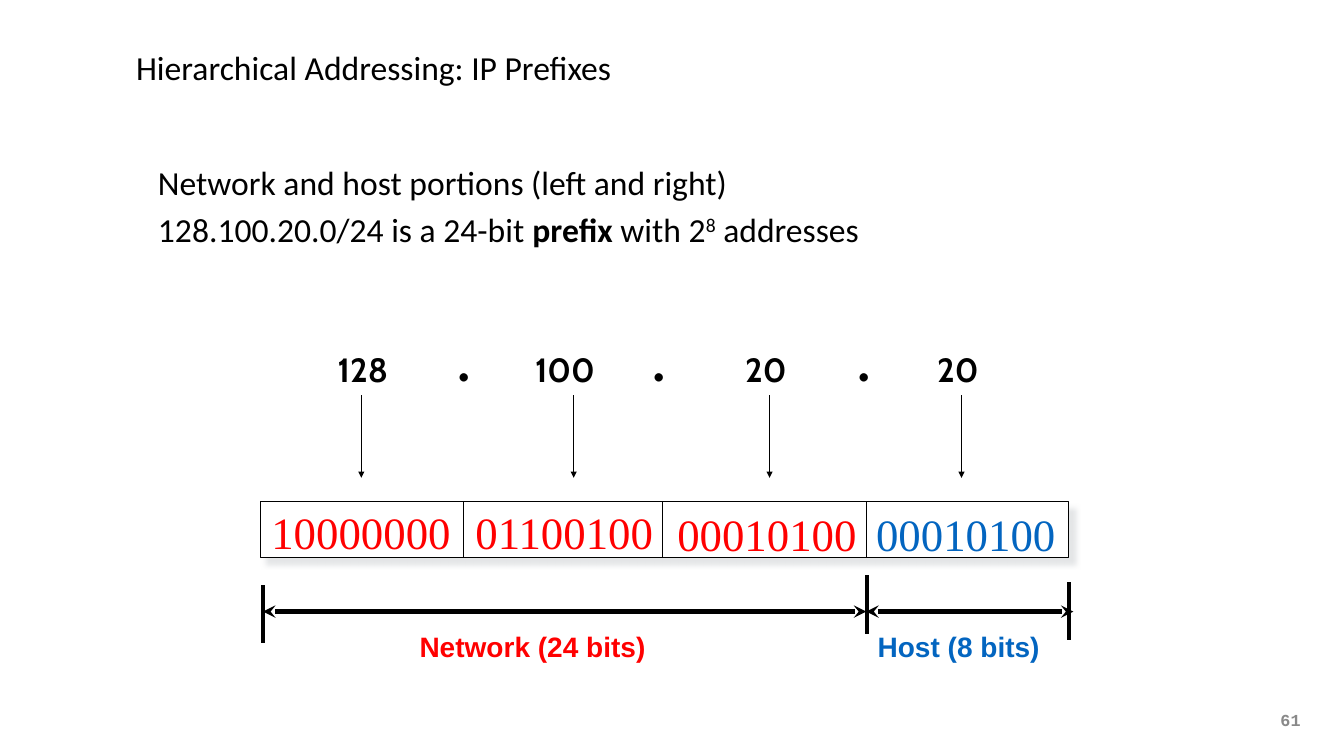
from pptx import Presentation
from pptx.dml.color import RGBColor
from pptx.enum.shapes import MSO_CONNECTOR, MSO_SHAPE
from pptx.enum.text import MSO_ANCHOR, MSO_AUTO_SIZE, PP_ALIGN
from pptx.oxml import parse_xml
from pptx.oxml.ns import qn
from pptx.util import Inches, Pt
from lxml.etree import SubElement

# Content
TITLE = "Hierarchical Addressing: IP Prefixes"
BODY = [
    [("Network and host portions (left and right)", "body")],
    [("128.100.20.0/24 is a 24-bit ", "body"), ("prefix", "bold"),
     (" with 2", "body"), ("8", "super"), (" addresses", "body")],
]
# decimal, left, width, arrow x; bits, left, top, style
OCTETS = [
    ("128", 4.37, 1.06, 4.78, "10000000", 3.46, 6.61, "net bits"),
    ("100", 6.98, 1.06, 7.59, "01100100", 6.16, 6.61, "net bits"),
    ("20", 9.76, 0.77, 10.18, "00010100", 8.83, 6.63, "net bits"),
    ("20", 12.3, 0.77, 12.72, "00010100", 11.46, 6.63, "host bits"),
]
DOTS = [5.97, 8.54, 11.26]
CUTS = [6.13, 8.76, 11.46]
TICKS = [(3.48, 7.74), (11.47, 7.61), (14.14, 7.7)]
# label, left, width, style, span start, span end
SPANS = [
    ("Network (24 bits)", 5.42, 3.4, "net", 11.46, 3.48),
    ("Host (8 bits)", 11.48, 2.54, "host", 11.46, 14.2),
]
PAGE = "61"

# Theme: font, size, colour, bold
BLACK, WHITE, RED, BLUE, GREY = "000000", "FFFFFF", "FF0000", "0365C0", "898989"
THEME = {
    "body": ("Calibri", 32, BLACK, False),
    "bold": ("Calibri", 32, BLACK, True),
    "super": ("Calibri", 32, BLACK, False),
    "octet": ("Cabin", 32, BLACK, True),
    "dot": ("Calibri", 66, BLACK, False),
    "net bits": ("Times New Roman", 42.7, RED, False),
    "host bits": ("Times New Roman", 42.7, BLUE, False),
    "net": ("Arial", 26.7, RED, True),
    "host": ("Arial", 26.7, BLUE, True),
    "gap": ("Times New Roman", 32, BLACK, False),
    "page": ("Courier New", 16, GREY, True),
}
SHADOW = (
    '<a:effectLst xmlns:a="http://schemas.openxmlformats.org/drawingml/2006/main">'
    '<a:outerShdw blurRad="63500" dist="107950" dir="2700000" algn="ctr" rotWithShape="0">'
    '<a:srgbClr val="DCDEE0"><a:alpha val="75000"/></a:srgbClr>'
    '</a:outerShdw></a:effectLst>'
)

deck = Presentation()
deck.slide_width, deck.slide_height = Inches(17.78), Inches(10)
slide = deck.slides.add_slide(deck.slide_layouts[5])
shapes = slide.shapes


def write(para, runs):
    for text, style in runs:
        run = para.add_run()
        run.text = text
        font = run.font
        font.name, size, color, font.bold = THEME[style]
        font.size = Pt(size)
        font.color.rgb = RGBColor.from_string(color)
        if style == "super":
            run._r.get_or_add_rPr().set("baseline", "30000")


def frame(shape, pad, anchor=MSO_ANCHOR.TOP, wrap=False):
    tf = shape.text_frame
    tf.margin_left = tf.margin_right = Inches(pad[0])
    tf.margin_top = tf.margin_bottom = Inches(pad[1])
    tf.vertical_anchor = anchor
    tf.word_wrap = wrap
    tf.auto_size = MSO_AUTO_SIZE.NONE if wrap else MSO_AUTO_SIZE.SHAPE_TO_FIT_TEXT
    return tf


def label(box, runs, pad=(0.13, 0.07), anchor=MSO_ANCHOR.TOP, align=PP_ALIGN.LEFT):
    tf = frame(shapes.add_textbox(*map(Inches, box)), pad, anchor)
    para = tf.paragraphs[0]
    para.alignment = align
    write(para, runs)


def line(x1, y1, x2, y2, width, head=None, tail=None):
    link = shapes.add_connector(MSO_CONNECTOR.STRAIGHT, *map(Inches, (x1, y1, x2, y2)))
    link.line.width = Pt(width)
    link.line.color.rgb = RGBColor.from_string(BLACK)
    ln = link.line._get_or_add_ln()
    for tag, kind in (("a:headEnd", head), ("a:tailEnd", tail)):
        if kind:
            SubElement(ln, qn(tag)).set("type", kind)
    SubElement(link._element.spPr, qn("a:effectLst"))


# Title
title = shapes.title
title.left, title.top, title.width, title.height = map(Inches, (1.74, 0, 14.31, 1.78))
para = frame(title, (0.06, 0.06), MSO_ANCHOR.MIDDLE, True).paragraphs[0]
para.alignment = PP_ALIGN.LEFT
write(para, [(TITLE, "body")])

# Body
box = shapes.add_textbox(*map(Inches, (1.74, 1.8, 14.31, 1.84)))
tf = frame(box, (0, 0), MSO_ANCHOR.MIDDLE, True)
for i, runs in enumerate(BODY):
    para = tf.add_paragraph() if i else tf.paragraphs[0]
    para._p.get_or_add_pPr().set("marL", str(Inches(0.35)))
    if i:
        para.space_before = Pt(7)
    write(para, runs)

# Spans below the address
for x, y in TICKS:
    line(x, y, x, y + 0.77, 4)
for text, left, width, style, start, end in SPANS:
    line(start, 8.09, end, 8.09, 4, "stealth", "stealth")
    label((left, 8.18, width, 0.67), [(text, style), (" ", "gap")])

# Bit strip
strip = shapes.add_shape(MSO_SHAPE.RECTANGLE, *map(Inches, (3.44, 6.64, 10.69, 0.74)))
strip.fill.solid()
strip.fill.fore_color.rgb = RGBColor.from_string(WHITE)
strip.line.color.rgb = RGBColor.from_string(BLACK)
strip.line.width = Pt(1)
strip._element.spPr.append(parse_xml(SHADOW))
for x in CUTS:
    line(x, 6.64, x, 7.38, 1)

# Octets with arrows to their bits
for num, left, width, mid, bits, start, top, style in OCTETS:
    label((start, top, 2.67, 0.85), [(bits, style)])
    label((left, 4.56, width, 0.64), [(num, "octet")], (0.1, 0.05))
    line(mid, 5.23, mid, 6.32, 0.75, tail="triangle")
for x in DOTS:
    label((x, 4.07, 0.35, 1.22), [(".", "dot")], (0.06, 0.06),
          MSO_ANCHOR.MIDDLE, PP_ALIGN.CENTER)

# Page number
label((16.94, 9.39, 0.46, 0.5), [(PAGE, "page")], (0, 0))

deck.save("out.pptx")
